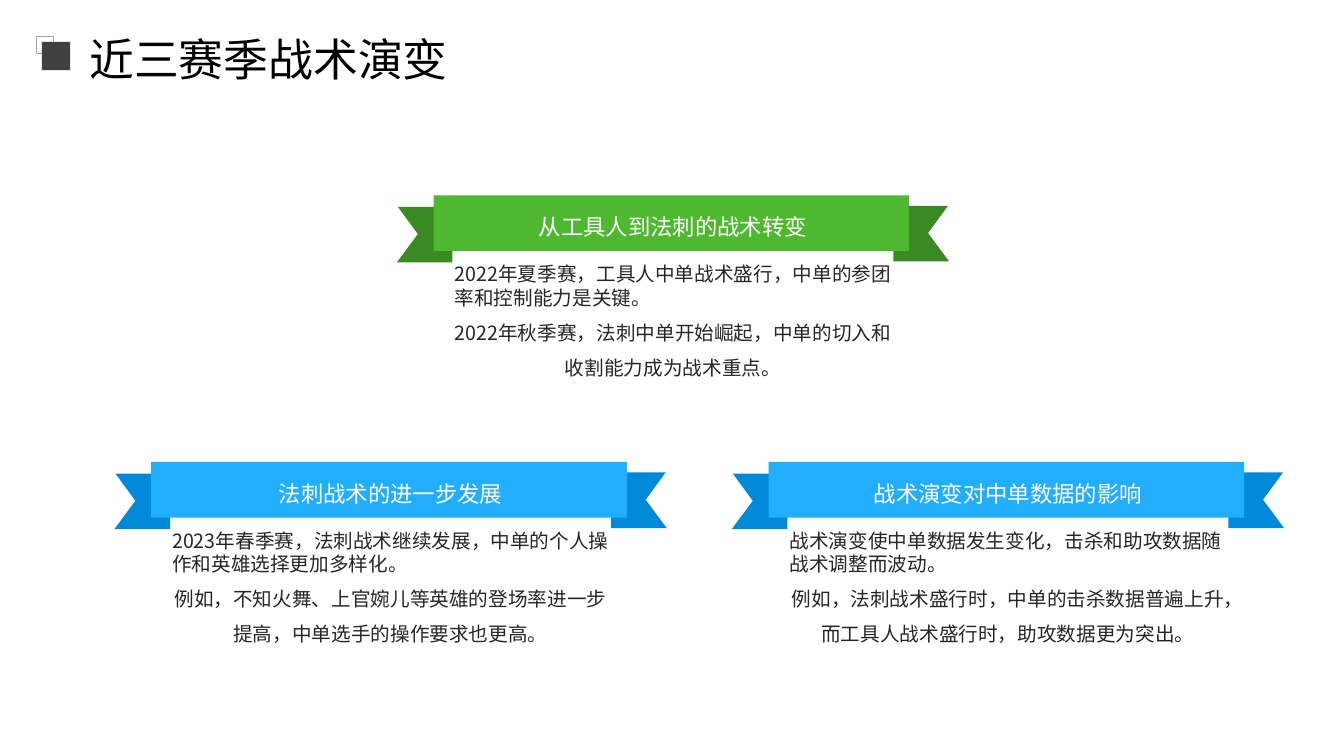
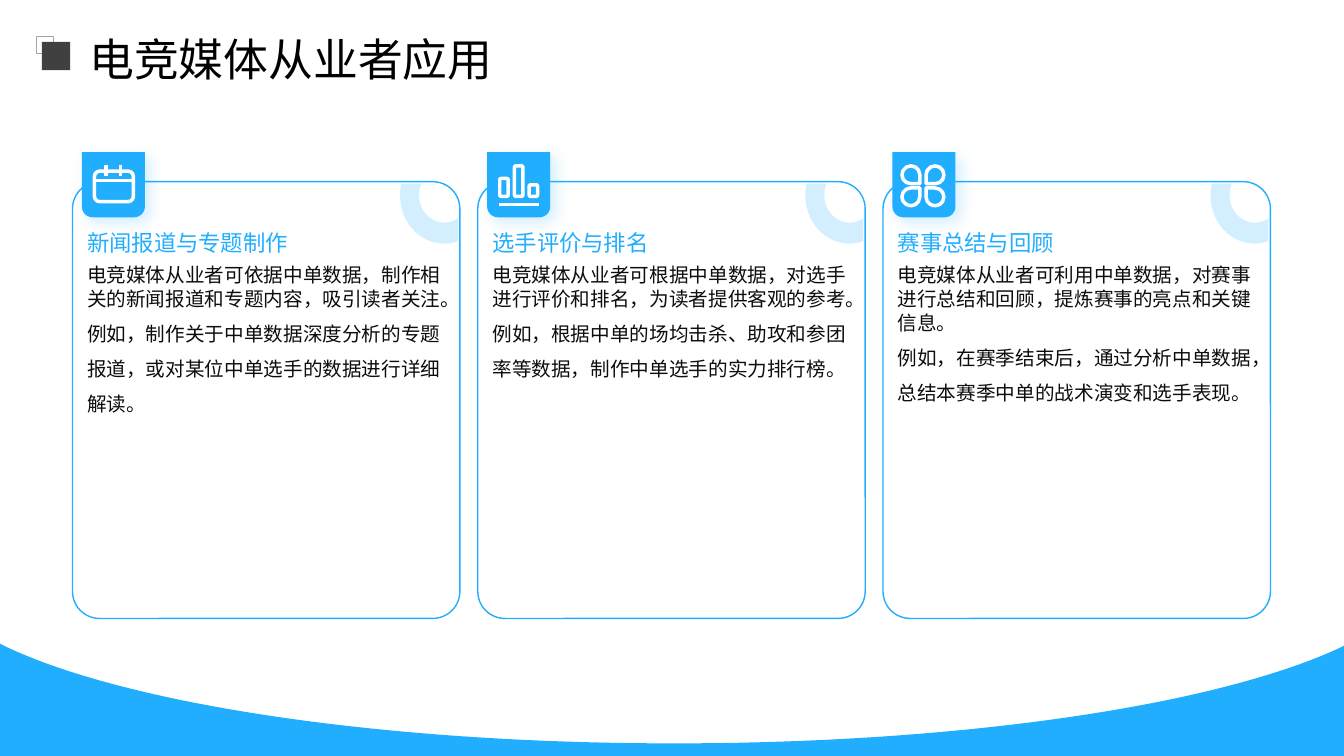
import math

import pptx
import pptx.util
from lxml import etree
from pptx.dml.color import RGBColor
from pptx.enum.shapes import MSO_CONNECTOR, MSO_SHAPE
from pptx.enum.text import MSO_ANCHOR, PP_ALIGN
from pptx.oxml import parse_xml
from pptx.oxml.ns import nsdecls, qn

PX = 9525
FONT = "Noto Sans CJK SC"
COLORS = {
    "blue": "22AEFF", "deep blue": "0089D9", "green": "4EB830", "deep green": "3A8A24",
    "white": "FFFFFF", "black": "000000", "ink": "0D0D0D", "text": "262626",
    "grey": "A6A6A6", "dark": "404040",
}
LEFT, CENTER = PP_ALIGN.LEFT, PP_ALIGN.CENTER


def add_text(slide, text, x, y, w, h, size=14, color="ink", align=LEFT,
             spacing=1.0, anchor=MSO_ANCHOR.TOP):
    """Add a borderless box; each line of text is a paragraph.

    align and spacing may be lists with one entry per paragraph.
    """
    frame = slide.shapes.add_textbox(x * PX, y * PX, w * PX, h * PX).text_frame
    frame.word_wrap = True
    frame.vertical_anchor = anchor
    frame.margin_left = frame.margin_right = frame.margin_top = frame.margin_bottom = 0
    for i, line in enumerate(text.split("\n")):
        paragraph = frame.paragraphs[0] if i == 0 else frame.add_paragraph()
        paragraph.alignment = align[i] if isinstance(align, list) else align
        paragraph.line_spacing = spacing[i] if isinstance(spacing, list) else spacing
        run = paragraph.add_run()
        run.text = line
        run.font.size = pptx.util.Pt(size)
        run.font.color.rgb = RGBColor.from_string(COLORS[color])
        run.font.name = FONT
        etree.SubElement(run.font._element, qn("a:ea"), typeface=FONT)


def draw(slide, form, x=0, y=0, w=0, h=0, fill=None, line=None, weight=1):
    """Draw a preset shape, or an outline when form is a list of points."""
    if isinstance(form, list):
        points = [((x + dx) * PX, (y + dy) * PX) for dx, dy in form]
        builder = slide.shapes.build_freeform(*points[0])
        builder.add_line_segments(points[1:])
        shape = builder.convert_to_shape()
    else:
        shape = slide.shapes.add_shape(form, x * PX, y * PX, w * PX, h * PX)
    shape.shadow.inherit = False
    if fill:
        shape.fill.solid()
        shape.fill.fore_color.rgb = RGBColor.from_string(COLORS[fill])
    else:
        shape.fill.background()
    if line:
        shape.line.color.rgb = RGBColor.from_string(COLORS[line])
        shape.line.width = pptx.util.Pt(weight)
    else:
        shape.line.fill.background()
    return shape


presentation = pptx.Presentation()
presentation.slide_width = 1280 * PX
presentation.slide_height = 720 * PX

slides = []
for title in ("近三赛季战术演变", "电竞媒体从业者应用"):
    slide = presentation.slides.add_slide(presentation.slide_layouts[6])
    add_text(slide, title, 85, 28, 1142, 45, size=32, color="black",
             spacing=1.2, anchor=MSO_ANCHOR.MIDDLE)
    draw(slide, MSO_SHAPE.RECTANGLE, 35, 35, 16, 16, line="grey")
    draw(slide, MSO_SHAPE.RECTANGLE, 40, 40, 27, 27, fill="dark")
    slides.append(slide)
evolution, media = slides
body_spacing = [pptx.util.Pt(17), pptx.util.Pt(25)]

# Ribbons with a tactic each
left_tail = [(18, 11), (-34, 11), (-15, 37), (-35, 64), (18, 64)]
right_tail = [(456 - dx, dy - 1) for dx, dy in left_tail]
tactics = [
    (413, 186, "green", "从工具人到法刺的战术转变",
     "2022年夏季赛，工具人中单战术盛行，中单的参团率和控制能力是关键。\n"
     "2022年秋季赛，法刺中单开始崛起，中单的切入和收割能力成为战术重点。"),
    (144, 440, "blue", "法刺战术的进一步发展",
     "2023年春季赛，法刺战术继续发展，中单的个人操作和英雄选择更加多样化。\n"
     "例如，不知火舞、上官婉儿等英雄的登场率进一步提高，中单选手的操作要求也更高。"),
    (732, 440, "blue", "战术演变对中单数据的影响",
     "战术演变使中单数据发生变化，击杀和助攻数据随战术调整而波动。\n"
     "例如，法刺战术盛行时，中单的击杀数据普遍上升，而工具人战术盛行时，助攻数据更为突出。"),
]
for x, y, color, heading, body in tactics:
    for tail in (left_tail, right_tail):
        draw(evolution, tail, x, y, fill="deep " + color)
    draw(evolution, MSO_SHAPE.RECTANGLE, x, y, 453, 53, fill=color)
    add_text(evolution, heading, x + 20, y + 8, 416, 33, size=16, color="white",
             align=CENTER, spacing=1.4, anchor=MSO_ANCHOR.MIDDLE)
    add_text(evolution, body, x + 20, y + 63, 416, 156, color="text",
             align=[LEFT, CENTER], spacing=body_spacing)

# Wave along the bottom: half a Bezier curve and its mirror image
half_wave = []
for step in range(41):
    t = step / 40
    weights = ((1 - t) ** 3, 3 * t * (1 - t) ** 2, 3 * t * t * (1 - t), t ** 3)
    half_wave.append((sum(k * v for k, v in zip(weights, (8, 124, 364, 642))),
                      sum(k * v for k, v in zip(weights, (617, 671, 708, 708)))))
mirrored = [(1284 - x, y) for x, y in reversed(half_wave)]
draw(media, [(0, 613)] + half_wave + mirrored + [(1280, 615), (1280, 720), (0, 720)],
     fill="blue")

# Ring cut off by the card's top right corner
ring = []
for radius_x, radius_y, angles in ((42, 46, range(194, 71, -2)), (24, 26, range(57, 207, 2))):
    ring += [(354 + radius_x * math.cos(math.radians(a)),
              13 + radius_y * math.sin(math.radians(a))) for a in angles]

# Icon strokes: form (None is a line), left, top, width, height, rotation
rounded, petal = MSO_SHAPE.ROUNDED_RECTANGLE, MSO_SHAPE.TEAR
calendar = [(rounded, 12, 18, 37, 29, 0), (None, 12, 27, 37, 0, 0),
            (None, 23, 12, 0, 11, 0), (None, 37, 12, 0, 11, 0)]
bars = [(rounded, 12, 25, 8, 17, 0), (rounded, 26, 13, 8, 29, 0),
        (rounded, 40, 31, 8, 11, 0), (None, 11, 50, 38, 0, 0)]
petals = [(petal, 9, 13, 17, 17, 90), (petal, 32, 13, 17, 17, 180),
          (petal, 9, 34, 17, 17, 0), (petal, 32, 34, 17, 17, 270)]
uses = [
    (calendar, "新闻报道与专题制作",
     "电竞媒体从业者可依据中单数据，制作相关的新闻报道和专题内容，吸引读者关注。\n"
     "例如，制作关于中单数据深度分析的专题报道，或对某位中单选手的数据进行详细解读。"),
    (bars, "选手评价与排名",
     "电竞媒体从业者可根据中单数据，对选手进行评价和排名，为读者提供客观的参考。\n"
     "例如，根据中单的场均击杀、助攻和参团率等数据，制作中单选手的实力排行榜。"),
    (petals, "赛事总结与回顾",
     "电竞媒体从业者可利用中单数据，对赛事进行总结和回顾，提炼赛事的亮点和关键信息。\n"
     "例如，在赛季结束后，通过分析中单数据，总结本赛季中单的战术演变和选手表现。"),
]
tile_shadow = (
    f'<a:outerShdw {nsdecls("a")} blurRad="127000" dist="63500" dir="2700000" rotWithShape="0">'
    f'<a:srgbClr val="{COLORS["blue"]}"><a:alpha val="20000"/></a:srgbClr></a:outerShdw>'
)
for i, (icon, heading, body) in enumerate(uses):
    x, y = 69 + 386 * i, 173
    card = draw(media, rounded, x, y, 369, 416, fill="white", line="blue")
    card.adjustments[0] = 0.07
    corner = draw(media, ring, x, y, fill="blue")
    ring_color = next(corner._element.spPr.iter(qn("a:srgbClr")))
    etree.SubElement(ring_color, qn("a:alpha"), val="20000")
    add_text(media, heading, x + 14, 218, 341, 32, size=16, color="blue")
    add_text(media, body, x + 14, 250, 341, 324, spacing=body_spacing)

    tile_x, tile_y = x + 9, 145
    tile = draw(media, MSO_SHAPE.ROUND_2_SAME_RECTANGLE, tile_x, tile_y, 60, 62, fill="blue")
    tile.adjustments[0], tile.adjustments[1] = 0, 0.17
    tile._element.spPr.find(qn("a:effectLst")).append(parse_xml(tile_shadow))
    for form, dx, dy, w, h, rotation in icon:
        left, top = tile_x + dx, tile_y + dy
        if form is None:
            stroke = media.shapes.add_connector(
                MSO_CONNECTOR.STRAIGHT, left * PX, top * PX, (left + w) * PX, (top + h) * PX)
            stroke.line.color.rgb = RGBColor.from_string(COLORS["white"])
            stroke.line.width = pptx.util.Pt(2.5)
            etree.SubElement(stroke._element.spPr, qn("a:effectLst"))
        else:
            part = draw(media, form, left, top, w, h, line="white", weight=2.5)
            part.rotation = rotation

presentation.save("out.pptx")
